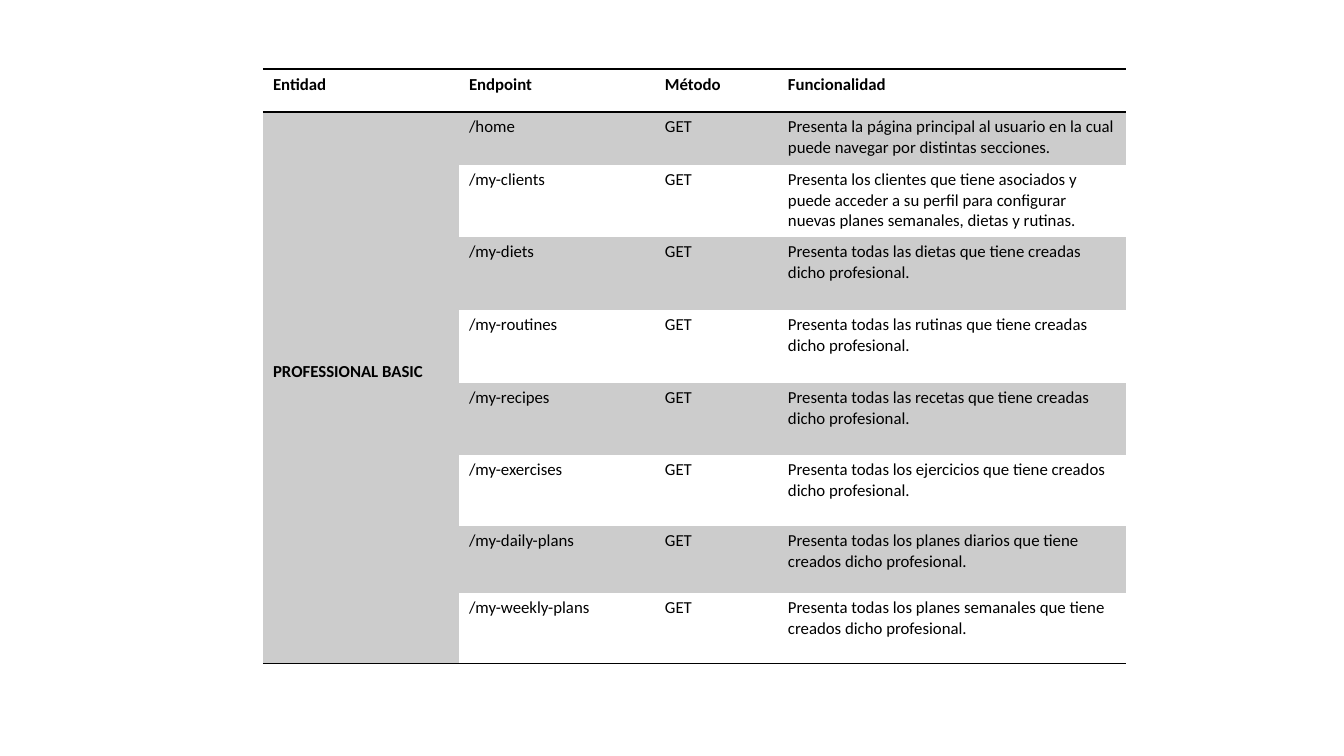
from lxml.etree import SubElement
from pptx import Presentation
from pptx.dml.color import RGBColor
from pptx.enum.text import MSO_ANCHOR
from pptx.oxml.ns import qn
from pptx.util import Pt

PX = 914400 / 100.8
BLACK = RGBColor(0x00, 0x00, 0x00)
GREY = RGBColor(0xCC, 0xCC, 0xCC)
NO_STYLE = "{2D5ABB26-0587-4C30-8999-92F81FD0307C}"

HEADINGS = ("Entidad", "Endpoint", "Método", "Funcionalidad")
ENTITY = "PROFESSIONAL BASIC"
ENDPOINTS = (
    ("/home", "Presenta la página principal al usuario en la cual puede navegar por distintas secciones."),
    ("/my-clients", "Presenta los clientes que tiene asociados y puede acceder a su perfil "
                    "para configurar nuevas planes semanales, dietas y rutinas."),
    ("/my-diets", "Presenta todas las dietas que tiene creadas dicho profesional."),
    ("/my-routines", "Presenta todas las rutinas que tiene creadas dicho profesional."),
    ("/my-recipes", "Presenta todas las recetas que tiene creadas dicho profesional."),
    ("/my-exercises", "Presenta todas los ejercicios que tiene creados dicho profesional."),
    ("/my-daily-plans", "Presenta todas los planes diarios que tiene creados dicho profesional."),
    ("/my-weekly-plans", "Presenta todas los planes semanales que tiene creados dicho profesional."),
)
COLUMN_WIDTHS = (196, 196, 123, 348)
ROW_HEIGHTS = (43, 53, 72, 73, 73, 72, 71, 67, 71)


def px(length):
    """Turn a length in px into EMU."""
    return round(length * PX)


def write(cell, text, size=12, bold=False, color=BLACK, font="Calibri"):
    """Put one formatted span of text in a cell."""
    span = cell.text_frame.paragraphs[0].add_run()
    span.text = text
    span.font.size = Pt(size)
    span.font.bold = bold
    span.font.name = font
    span.font.color.rgb = color


def add_border(cell, side, color=BLACK, width=1):
    """Draw a solid line along one side of a cell."""
    properties = cell._tc.get_or_add_tcPr()
    line = SubElement(properties, qn(f"a:{side}"), w=str(Pt(width)))
    fill = SubElement(line, qn("a:solidFill"))
    SubElement(fill, qn("a:srgbClr"), val=str(color))


def format_cell(cell, row, column):
    """Set the rules and the banded fill of a cell from its place."""
    if row == 0:
        add_border(cell, "lnT")
    if row in (0, len(ENDPOINTS)) or (row == 1 and column == 0):
        add_border(cell, "lnB")
    if row % 2 or (row and column == 0):
        cell.fill.solid()
        cell.fill.fore_color.rgb = GREY
    else:
        cell.fill.background()


def add_endpoint_table(page, left, top):
    """Add the table of endpoints with its top left corner at the given place."""
    frame = page.shapes.add_table(
        len(ROW_HEIGHTS), len(COLUMN_WIDTHS), px(left), px(top),
        px(sum(COLUMN_WIDTHS)), px(sum(ROW_HEIGHTS)))
    table = frame.table
    table.first_row = table.horz_banding = False
    next(frame.element.iter(qn("a:tableStyleId"))).text = NO_STYLE
    for column, width in zip(table.columns, COLUMN_WIDTHS):
        column.width = px(width)
    for row, height in zip(table.rows, ROW_HEIGHTS):
        row.height = px(height)

    lines = [HEADINGS]
    lines += [("", endpoint, "GET", purpose) for endpoint, purpose in ENDPOINTS]
    for row, texts in enumerate(lines):
        for column, text in enumerate(texts):
            cell = table.cell(row, column)
            format_cell(cell, row, column)
            if text:
                write(cell, text, bold=row == 0)

    entity = table.cell(1, 0)
    entity.merge(table.cell(len(ENDPOINTS), 0))
    entity.vertical_anchor = MSO_ANCHOR.MIDDLE
    entity.margin_bottom = px(37)
    write(entity, ENTITY, bold=True)


def main():
    """Build the deck and save it."""
    deck = Presentation()
    deck.slide_width, deck.slide_height = px(1344), px(756)
    page = deck.slides.add_slide(deck.slide_layouts[6])
    add_endpoint_table(page, 263, 69)
    deck.save("out.pptx")


if __name__ == "__main__":
    main()
